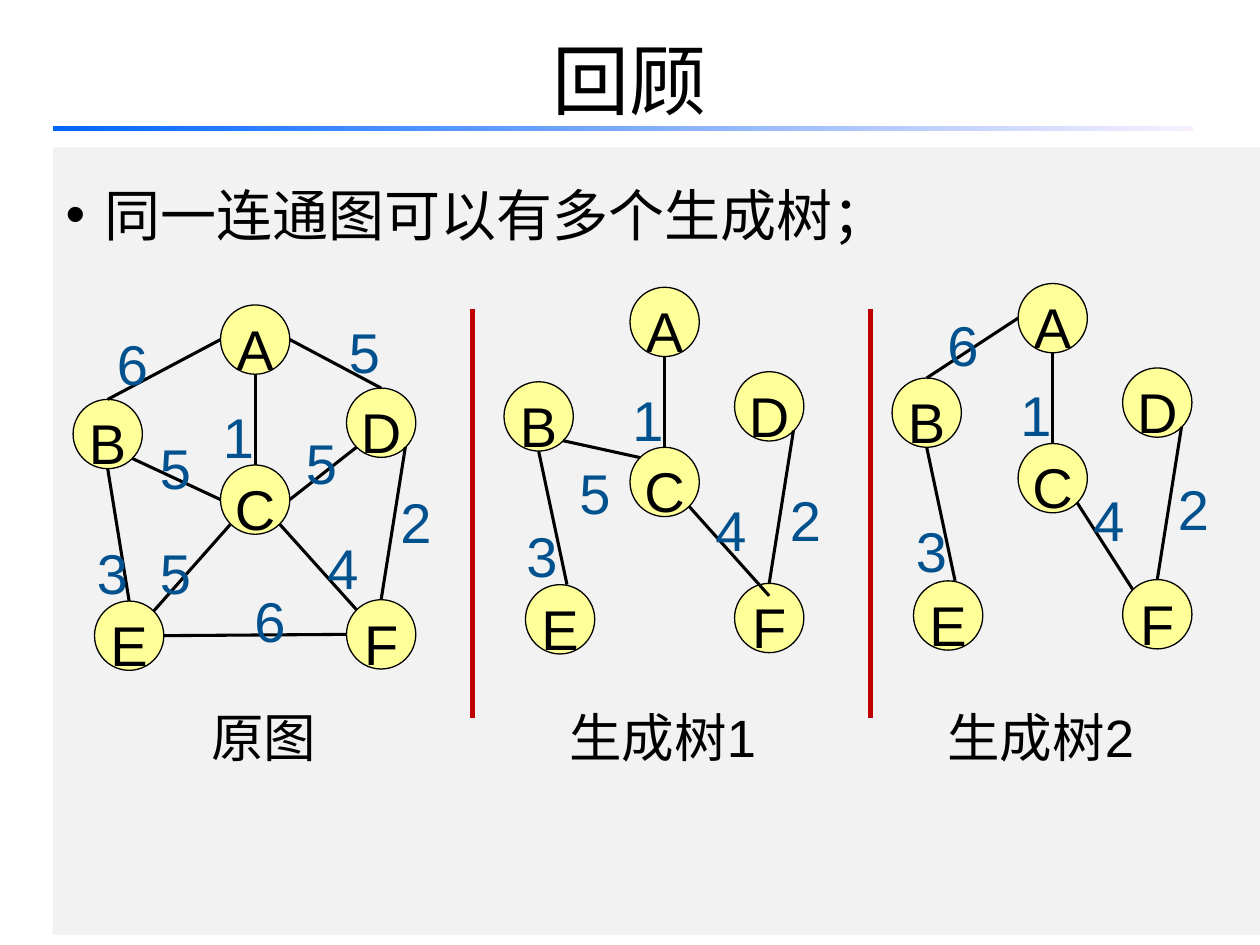
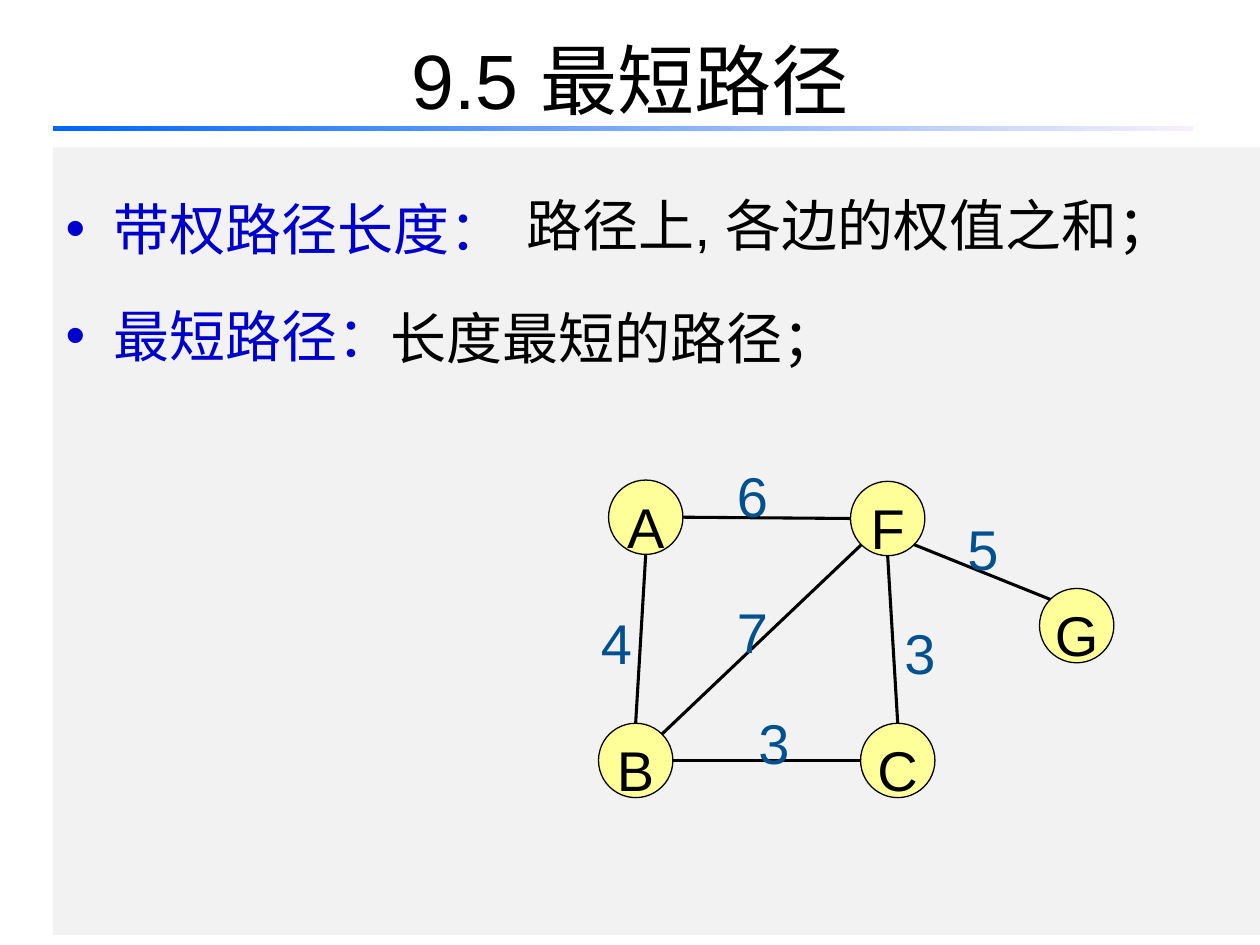
from pptx import Presentation
from pptx.dml.color import RGBColor
from pptx.enum.shapes import MSO_CONNECTOR as Connector, MSO_SHAPE as Shape
from pptx.enum.text import MSO_ANCHOR as Anchor, MSO_AUTO_SIZE as AutoSize, PP_ALIGN as Align
from pptx.oxml import parse_xml
from pptx.oxml.ns import nsdecls
from pptx.util import Inches, Pt

BLACK = RGBColor(0x00, 0x00, 0x00)
PANEL_GREY = RGBColor(0xF2, 0xF2, 0xF2)
NODE_YELLOW = RGBColor(0xFF, 0xFF, 0x99)
WEIGHT_BLUE = RGBColor(0x00, 0x51, 0x8E)
TERM_BLUE = RGBColor(0x00, 0x00, 0xCC)
DIVIDER_RED = RGBColor(0xC0, 0x00, 0x00)
BAR_START = RGBColor(0x00, 0x66, 0xFF)
BAR_END = RGBColor(0xF7, 0xEF, 0xFF)
FONT = "Arial"
CJK_FONT = "Noto Sans CJK SC"

# Where an edge touches a node, as fractions of the node's diameter
ANCHORS = {
    "N": (0.5, 0), "S": (0.5, 1), "W": (0, 0.5), "E": (1, 0.5),
    "NW": (0.15, 0.15), "NE": (0.85, 0.15), "SW": (0.15, 0.85), "SE": (0.85, 0.85),
    "Nright": (0.6, 0), "Ninner": (0.5, 0.18),
}

# Nodes: left, top. Edges: node + anchor at both ends, weight, weight's left and top.
FULL_NODES = {"A": (1.75, 2.42), "B": (0.58, 3.17), "C": (1.75, 3.69),
              "D": (2.75, 3.08), "E": (0.75, 4.77), "F": (2.75, 4.76)}
FULL_EDGES = [
    ("AW", "BN", 6, 0.83, 2.43), ("AE", "DN", 5, 2.67, 2.34),
    ("AS", "CN", 1, 1.67, 3.01), ("BSE", "CW", 5, 1.17, 3.26),
    ("DSW", "CE", 5, 2.33, 3.22), ("BS", "EN", 3, 0.67, 4.09),
    ("CSW", "ENE", 5, 1.17, 4.09), ("FNW", "CSE", 4, 2.5, 4.05),
    ("FW", "EE", 6, 1.92, 4.47), ("DSE", "FN", 2, 3.08, 3.69),
]
TREE_NODES = {"A": (5, 2.28), "B": (4, 3.03), "C": (5, 3.55),
              "D": (5.83, 2.95), "E": (4.17, 4.64), "F": (5.83, 4.63)}
TREE_1_EDGES = [
    ("AS", "CN", 1, 4.92, 2.88), ("BSE", "CNW", 5, 4.5, 3.46),
    ("BS", "ENright", 3, 4.08, 3.96), ("FNinner", "CSE", 4, 5.58, 3.75),
    ("DSE", "FN", 2, 6.17, 3.67),
]
TREE_2_EDGES = [
    ("AS", "CN", 1, 8, 2.84), ("AW", "BN", 6, 7.42, 2.28),
    ("BS", "ENright", 3, 7.17, 3.92), ("FNW", "CSE", 4, 8.58, 3.67),
    ("DSE", "FN", 2, 9.25, 3.58),
]
TREE_2_SHIFT = (3.08, -0.03)
PATH_NODES = {"A": (4.83, 3.81), "F": (6.75, 3.82), "B": (4.75, 5.74),
              "C": (6.83, 5.74), "G": (8.25, 4.67)}
PATH_EDGES = [
    ("FW", "AE", 6, 5.75, 3.48), ("BN", "AS", 4, 4.67, 4.65),
    ("FSW", "BNE", 7, 5.75, 4.56), ("FS", "CN", 3, 7.08, 4.73),
    ("CW", "BE", 3, 5.92, 5.44), ("FSE", "GNW", 5, 7.58, 3.9),
]


class Deck:
    """Holds the shared style and the current slide."""

    def __init__(self):
        self.presentation = Presentation()
        self.presentation.slide_width = Inches(10)
        self.presentation.slide_height = Inches(7.5)
        self.slide = None

    def place(self, shape, left, top, width, height):
        shape.left, shape.top = Inches(left), Inches(top)
        shape.width, shape.height = Inches(width), Inches(height)

    def style(self, paragraph, size=32, color=BLACK, spacing=1.25, align=None):
        paragraph.font.name = FONT
        paragraph.font.size = Pt(size)
        paragraph.font.color.rgb = color
        paragraph.line_spacing = spacing
        paragraph.alignment = align

    def start_slide(self, *title_parts):
        """Adds a slide with its title and the bar under it."""
        self.slide = self.presentation.slides.add_slide(self.presentation.slide_layouts[1])
        title = self.slide.shapes.title
        self.place(title, 0.5, 0, 9, 1.25)
        paragraph = title.text_frame.paragraphs[0]
        self.style(paragraph, 44, spacing=1.0, align=Align.CENTER)
        for text, font in title_parts:
            run = paragraph.add_run()
            run.text = text
            run.font.name = font

        bar = self.slide.shapes.add_shape(
            Shape.RECTANGLE, Inches(0.42), Inches(1), Inches(9.05), Inches(0.04))
        bar.shadow.inherit = False
        bar.line.fill.background()
        bar.fill.gradient()
        bar.fill.gradient_angle = 0
        for stop, color in zip(bar.fill.gradient_stops, (BAR_START, BAR_END)):
            stop.color.rgb = color

    def bullet_panel(self, lines, color, spacing, indent, align=None):
        panel = self.slide.placeholders[1]
        self.place(panel, 0.42, 1.17, 9.58, 6.25)
        panel.fill.solid()
        panel.fill.fore_color.rgb = PANEL_GREY
        frame = panel.text_frame
        frame.text = "\n".join(lines)
        frame.auto_size = AutoSize.NONE
        for paragraph in frame.paragraphs:
            self.style(paragraph, 32, color, spacing, align)
            paragraph.space_before = Pt(0)
            properties = paragraph._p.get_or_add_pPr()
            properties.set("marL", str(Inches(indent)))
            properties.set("indent", str(-Inches(indent)))

    def text(self, text, left, top, width, height=0.71, **style):
        box = self.slide.shapes.add_textbox(
            Inches(left), Inches(top), Inches(width), Inches(height))
        frame = box.text_frame
        frame.word_wrap = True
        frame.auto_size = AutoSize.SHAPE_TO_FIT_TEXT
        frame.text = text
        self.style(frame.paragraphs[0], **style)

    def line(self, start, end, color=BLACK, width=1.75):
        connector = self.slide.shapes.add_connector(
            Connector.STRAIGHT, *(Inches(value) for value in (*start, *end)))
        connector.line.color.rgb = color
        connector.line.width = Pt(width)
        connector._element.spPr.append(parse_xml(f"<a:effectLst {nsdecls('a')}/>"))

    def node(self, name, left, top, diameter):
        circle = self.slide.shapes.add_shape(
            Shape.OVAL, Inches(left), Inches(top), Inches(diameter), Inches(diameter))
        circle.shadow.inherit = False
        circle.fill.solid()
        circle.fill.fore_color.rgb = NODE_YELLOW
        circle.line.color.rgb = BLACK
        circle.line.width = Pt(0.75)
        frame = circle.text_frame
        frame.word_wrap = False
        frame.vertical_anchor = Anchor.MIDDLE
        frame.text = name
        self.style(frame.paragraphs[0], align=Align.CENTER)

    def graph(self, nodes, edges, diameter=0.55, shift=(0, 0)):
        """Draws circles, the edges between them and the edge weights."""
        corners = {name: (left + shift[0], top + shift[1])
                   for name, (left, top) in nodes.items()}

        def point(end):
            return [corner + fraction * diameter
                    for corner, fraction in zip(corners[end[0]], ANCHORS[end[1:]])]

        for name, corner in corners.items():
            self.node(name, *corner, diameter)
        for start, end, weight, left, top in edges:
            self.line(point(start), point(end))
            self.text(str(weight), left, top, 0.75, color=WEIGHT_BLUE)


def spanning_tree_slide(deck):
    deck.start_slide(("回顾", FONT))
    deck.bullet_panel(["同一连通图可以有多个生成树；"], BLACK, 1.4, 0.31)

    # Full graph and two of its spanning trees
    deck.graph(FULL_NODES, FULL_EDGES)
    deck.graph(TREE_NODES, TREE_1_EDGES)
    deck.graph(TREE_NODES, TREE_2_EDGES, shift=TREE_2_SHIFT)

    # Dividers and captions
    for x in (3.75, 6.91):
        deck.line((x, 2.45), (x, 5.7), DIVIDER_RED, 2.5)
    for caption, left, width in (("原图", 1.58, 1.33), ("生成树1", 4.42, 2.08),
                                 ("生成树2", 7.42, 2.08)):
        deck.text(caption, left, 5.42, width, 0.67, size=30)


def shortest_path_slide(deck):
    deck.start_slide(("9.5 ", FONT), ("最短路径", CJK_FONT))
    deck.bullet_panel(["带权路径长度：", "最短路径："], TERM_BLUE, 1.6, 0.38, Align.JUSTIFY)

    # Definitions beside the terms
    deck.text("路径上, 各边的权值之和；", 4.08, 1.33, 5.75, 0.77)
    deck.text("长度最短的路径；", 3, 2.04, 4.58, 0.96, spacing=1.6, align=Align.JUSTIFY)

    # Weighted graph
    deck.graph(PATH_NODES, PATH_EDGES, diameter=0.59)


def main():
    deck = Deck()
    spanning_tree_slide(deck)
    shortest_path_slide(deck)
    deck.presentation.save("out.pptx")


if __name__ == "__main__":
    main()
